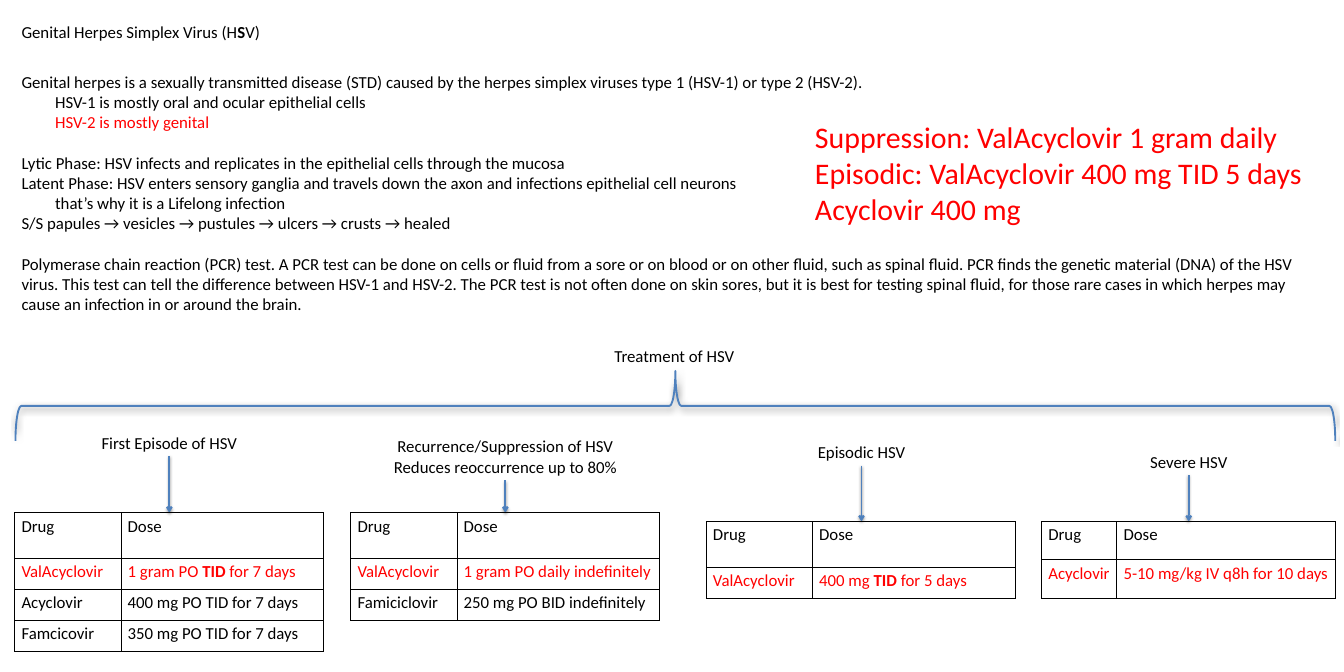
from dataclasses import dataclass

from lxml import etree
from pptx import Presentation
from pptx.dml.color import RGBColor
from pptx.enum.shapes import MSO_CONNECTOR, MSO_SHAPE
from pptx.enum.text import MSO_ANCHOR, MSO_AUTO_SIZE, PP_ALIGN
from pptx.oxml import parse_xml
from pptx.oxml.ns import nsdecls, qn
from pptx.util import Inches, Length, Pt

BLACK, RED, BLUE = "000000", "FF0000", "4F81BD"
FONT = "Calibri"
BODY_SIZE, CALLOUT_SIZE = 18, 32
BLANK_LINE = 22  # points between blocks of body text
LABEL_LINE = 0.31  # rows taken by one more label line

prs = Presentation()
prs.slide_width, prs.slide_height = Inches(20), Inches(10)
UNIT = prs.slide_width // 20  # the slide is a grid of 20 columns by 10 rows
slide = prs.slides.add_slide(prs.slide_layouts[1])


@dataclass
class Line:
    """One paragraph; parts between asterisks are bold."""
    text: str
    color: str = BLACK
    indent: float = 0
    space_before: float = 0


@dataclass
class Regimen:
    """A treatment branch: label, arrow and drug table."""
    label: list[str]
    center: float
    label_top: float
    label_width: float
    table_left: float
    table_top: float
    doses: list[tuple[str, str]]
    columns: tuple[float, float] = (1.58, 3.02)
    header_height: float = 0.68
    dose_height: float = 0.46


def grid(units: float) -> Length:
    """Turn grid columns or rows into a length."""
    return Length(round(units * UNIT))


def rgb(color: str) -> RGBColor:
    """Turn a hex string into a colour."""
    return RGBColor.from_string(color)


def write(frame, lines: list[Line], size: float = BODY_SIZE, align=PP_ALIGN.LEFT) -> None:
    """Fill a text frame with formatted paragraphs."""
    for i, line in enumerate(lines):
        para = frame.paragraphs[0] if i == 0 else frame.add_paragraph()
        para.alignment = align
        para.space_before, para.space_after = Pt(line.space_before), Pt(0)
        props = para._p.get_or_add_pPr()
        props.set("marL", str(grid(line.indent)))
        props.set("indent", "0")
        etree.SubElement(props, qn("a:buNone"))
        for j, part in enumerate(line.text.split("*")):
            run = para.add_run()
            run.text = part
            run.font.name, run.font.size = FONT, Pt(size)
            run.font.bold = j % 2 == 1
            run.font.color.rgb = rgb(line.color)


def place(shape, left: float, top: float, width: float, height: float) -> None:
    """Move a placeholder and let its text start at the top."""
    shape.left, shape.top = grid(left), grid(top)
    shape.width, shape.height = grid(width), grid(height)
    frame = shape.text_frame
    frame.vertical_anchor = MSO_ANCHOR.TOP
    frame.auto_size, frame.word_wrap = MSO_AUTO_SIZE.NONE, True


def add_text(lines: list[Line], left: float, top: float, width: float, height: float,
             size: float = BODY_SIZE, align=PP_ALIGN.CENTER) -> None:
    """Add a text box that does not wrap."""
    box = slide.shapes.add_textbox(*map(grid, (left, top, width, height)))
    box.text_frame.word_wrap = False
    write(box.text_frame, lines, size, align)


def style_line(shape, arrow: bool = False) -> None:
    """Give a shape the blue outline and soft shadow, with an optional arrowhead."""
    shape.line.color.rgb, shape.line.width = rgb(BLUE), Pt(2)
    if arrow:
        etree.SubElement(shape.line._get_or_add_ln(), qn("a:tailEnd"), type="arrow")
    shape._element.spPr.append(parse_xml(
        f'<a:effectLst {nsdecls("a")}><a:outerShdw blurRad="{Pt(3.1)}" dist="{Pt(1.6)}" '
        'dir="5400000" rotWithShape="0"><a:srgbClr val="000000"><a:alpha val="38000"/>'
        '</a:srgbClr></a:outerShdw></a:effectLst>'))


def add_arrow(x: float, top: float, bottom: float) -> None:
    """Add a downward arrow."""
    arrow = slide.shapes.add_connector(
        MSO_CONNECTOR.STRAIGHT, *map(grid, (x, top, x, bottom)))
    style_line(arrow, arrow=True)


def style_cell(cell) -> None:
    """Give a cell thin black borders and no fill."""
    props = cell._tc.get_or_add_tcPr()
    for side in ("lnL", "lnR", "lnT", "lnB"):
        props.append(parse_xml(
            f'<a:{side} {nsdecls("a")} w="{Pt(1)}"><a:solidFill>'
            f'<a:srgbClr val="{BLACK}"/></a:solidFill></a:{side}>'))
    cell.fill.background()


def add_doses(regimen: Regimen) -> None:
    """Add a drug table whose first choice is red."""
    rows = [("Drug", "Dose"), *regimen.doses]
    heights = [regimen.header_height] + [regimen.dose_height] * len(regimen.doses)
    table = slide.shapes.add_table(
        len(rows), 2, grid(regimen.table_left), grid(regimen.table_top),
        grid(sum(regimen.columns)), grid(sum(heights))).table
    table.first_row = table.horz_banding = False
    for column, width in zip(table.columns, regimen.columns):
        column.width = grid(width)
    for r, (texts, height) in enumerate(zip(rows, heights)):
        table.rows[r].height = grid(height)
        for c, text in enumerate(texts):
            cell = table.cell(r, c)
            style_cell(cell)
            write(cell.text_frame, [Line(text, RED if r == 1 else BLACK)])


def add_regimen(regimen: Regimen) -> None:
    """Add one branch of the treatment tree."""
    height = 0.4 + LABEL_LINE * (len(regimen.label) - 1)
    add_text([Line(text) for text in regimen.label],
             regimen.center - regimen.label_width / 2, regimen.label_top,
             regimen.label_width, height)
    add_arrow(regimen.center, regimen.label_top + height, regimen.table_top)
    add_doses(regimen)


OVERVIEW = [
    Line("Genital herpes is a sexually transmitted disease (STD) caused by the herpes "
         "simplex viruses type 1 (HSV-1) or type 2 (HSV-2)."),
    Line("HSV-1 is mostly oral and ocular epithelial cells", indent=0.5),
    Line("HSV-2 is mostly genital", RED, indent=0.5),
    Line("Lytic Phase: HSV infects and replicates in the epithelial cells through the "
         "mucosa", space_before=BLANK_LINE),
    Line("Latent Phase: HSV enters sensory ganglia and travels down the axon and "
         "infections epithelial cell neurons"),
    Line("that’s why it is a Lifelong infection", indent=0.5),
    Line("S/S papules → vesicles → pustules → ulcers → crusts → healed"),
    Line("Polymerase chain reaction (PCR) test. A PCR test can be done on cells or fluid "
         "from a sore or on blood or on other fluid, such as spinal fluid. PCR finds the "
         "genetic material (DNA) of the HSV virus. This test can tell the difference "
         "between HSV-1 and HSV-2. The PCR test is not often done on skin sores, but it is "
         "best for testing spinal fluid, for those rare cases in which herpes may cause an "
         "infection in or around the brain.", space_before=BLANK_LINE),
]
CALLOUT = ["Suppression: ValAcyclovir 1 gram daily",
           "Episodic: ValAcyclovir 400 mg TID 5 days", "Acyclovir 400 mg"]
REGIMENS = [
    Regimen(["First Episode of HSV"], 2.52, 6.39, 2.25, 0.22, 7.63,
            [("ValAcyclovir", "1 gram PO *TID* for 7 days"),
             ("Acyclovir", "400 mg PO TID for 7 days"),
             ("Famcicovir", "350 mg PO TID for 7 days")]),
    Regimen(["Recurrence/Suppression of HSV", "Reduces reoccurrence up to 80%"],
            7.52, 6.44, 3.57, 5.22, 7.63,
            [("ValAcyclovir", "1 gram PO daily indefinitely"),
             ("Famiciclovir", "250 mg PO BID indefinitely")]),
    Regimen(["Episodic HSV"], 12.82, 6.53, 1.52, 10.51, 7.76,
            [("ValAcyclovir", "400 mg *TID* for 5 days")]),
    Regimen(["Severe HSV"], 17.69, 6.67, 1.37, 15.5, 7.76,
            [("Acyclovir", "5-10 mg/kg IV q8h for 10 days")], (1.12, 3.25), 0.57, 0.57),
]

title, overview = slide.placeholders
place(title, 0.22, 0.28, 4, 0.4)
write(title.text_frame, [Line("Genital Herpes Simplex Virus (H*S*V)")])
place(overview, 0.22, 1.01, 19.31, 3.74)
write(overview.text_frame, OVERVIEW)
add_text([Line(text, RED) for text in CALLOUT], 12.03, 1.72, 7.56, 1.72,
         CALLOUT_SIZE, PP_ALIGN.LEFT)
add_text([Line("Treatment of HSV")], 9.02, 5.1, 2.03, 0.4)

brace = slide.shapes.add_shape(MSO_SHAPE.LEFT_BRACE, *map(grid, (9.53, -3.78, 1.04, 19.64)))
brace.rotation = 90
brace.fill.background()
style_line(brace)

for regimen in REGIMENS:
    add_regimen(regimen)

prs.save("out.pptx")
